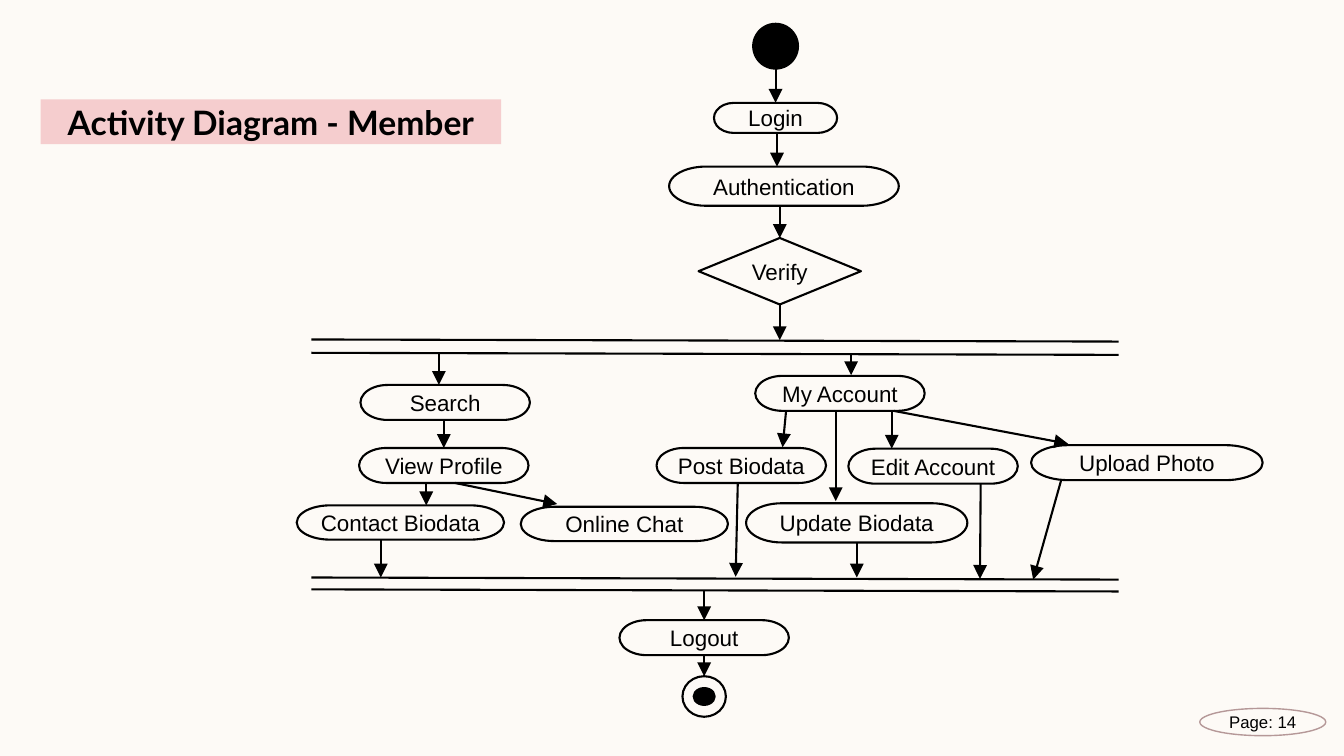
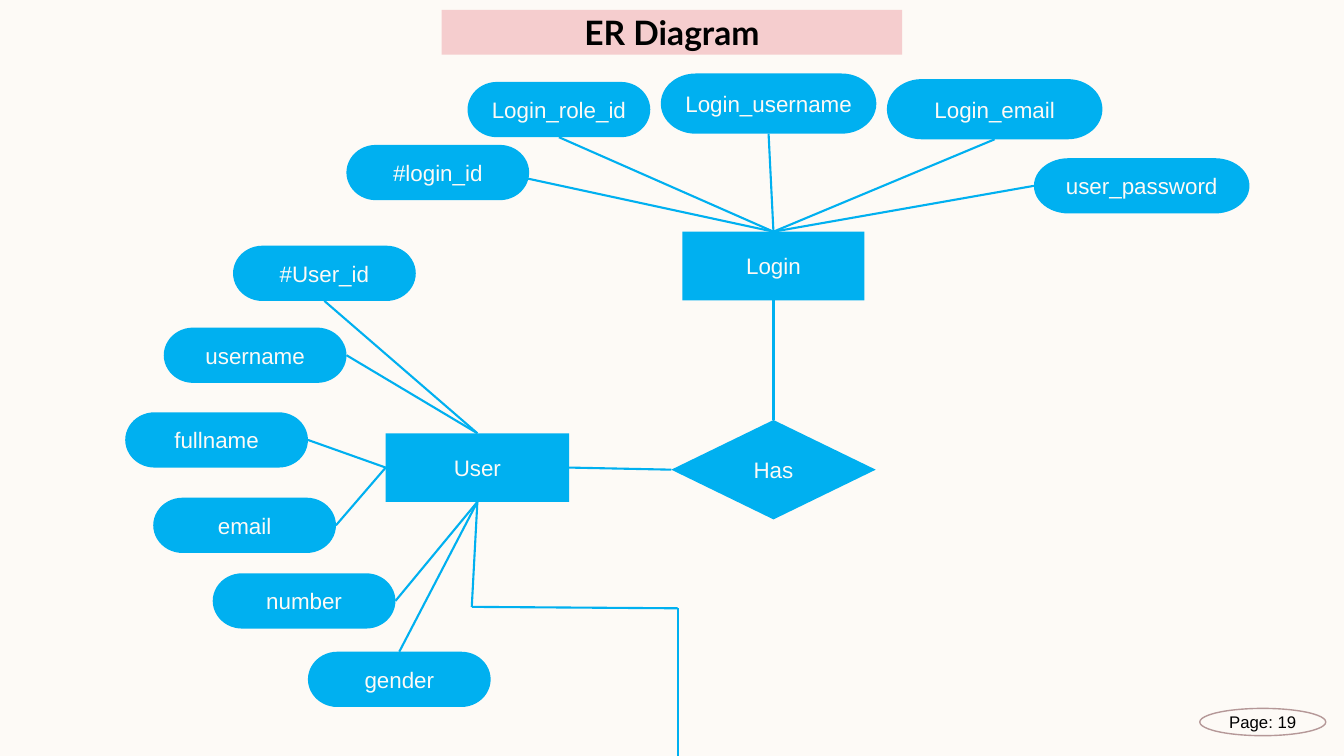
"""Build a member activity diagram slide and an ER diagram slide."""
from lxml import etree
from pptx import Presentation
from pptx.dml.color import RGBColor
from pptx.enum.shapes import MSO_CONNECTOR, MSO_SHAPE
from pptx.enum.text import MSO_ANCHOR, PP_ALIGN
from pptx.oxml.ns import qn
from pptx.util import Pt

CREAM = RGBColor(0xFD, 0xFA, 0xF6)
BLACK = RGBColor(0, 0, 0)
PINK = RGBColor(0xF5, 0xCD, 0xCE)
MAUVE = RGBColor(0xB5, 0x98, 0x98)
BLUE = RGBColor(0, 0xB0, 0xF0)

PILL = MSO_SHAPE.FLOWCHART_TERMINATOR
DIAMOND = MSO_SHAPE.FLOWCHART_DECISION
BOX = MSO_SHAPE.RECTANGLE
OVAL = MSO_SHAPE.OVAL
TOP, LEFT, BOTTOM, RIGHT = range(4)


def add_node(slide, kind, frame, label="", fill=None, line=None, ink=BLACK,
             size=16, font="Arial", bold=False, weight=1.5):
    """Add a labelled shape; frame is left, top, width, height in points."""
    node = slide.shapes.add_shape(kind, *[Pt(v) for v in frame])
    node.shadow.inherit = False
    if fill is None:
        node.fill.background()
    else:
        node.fill.solid()
        node.fill.fore_color.rgb = fill
    if line is None:
        node.line.fill.background()
    else:
        node.line.color.rgb = line
        node.line.width = Pt(weight)
    if label:
        frame_text = node.text_frame
        frame_text.text = label
        frame_text.word_wrap = False
        frame_text.vertical_anchor = MSO_ANCHOR.MIDDLE
        frame_text.margin_top = frame_text.margin_bottom = 0
        paragraph = frame_text.paragraphs[0]
        paragraph.alignment = PP_ALIGN.CENTER
        style = paragraph.runs[0].font
        style.name, style.size, style.bold = font, Pt(size), bold
        style.color.rgb = ink
    return node


def add_link(slide, start, end, colour, arrow=False):
    """Add a line; each end is an (x, y) point or a (node, side) pair."""
    link = slide.shapes.add_connector(MSO_CONNECTOR.STRAIGHT, 0, 0, 0, 0)
    if isinstance(start[0], (int, float)):
        link.begin_x, link.begin_y = Pt(start[0]), Pt(start[1])
    else:
        link.begin_connect(*start)
    if isinstance(end[0], (int, float)):
        link.end_x, link.end_y = Pt(end[0]), Pt(end[1])
    else:
        link.end_connect(*end)
    link.line.color.rgb = colour
    link.line.width = Pt(1.5)
    if arrow:
        etree.SubElement(link.line._get_or_add_ln(), qn("a:tailEnd"),
                         type="triangle", w="lg", len="lg")
    etree.SubElement(link._element.spPr, qn("a:effectLst"))


prs = Presentation()
prs.slide_width, prs.slide_height = Pt(960), Pt(540)

slides = []
for title, left, top, page in [
    ("Activity Diagram - Member", 29, 71, 14),
    ("ER Diagram", 315.5, 7, 19),
]:
    slide = prs.slides.add_slide(prs.slide_layouts[6])
    slide.background.fill.solid()
    slide.background.fill.fore_color.rgb = CREAM
    add_node(slide, BOX, (left, top, 329, 32), title, fill=PINK,
             size=24, font="Lato", bold=True)
    add_node(slide, OVAL, (857, 506, 90, 19.5), f"Page: {page}",
             line=MAUVE, size=12, weight=1)
    slides.append(slide)
activity, er = slides

for y in (242.5, 252, 412.5, 421):
    add_link(activity, (222.5, y), (799, y + 1.5), BLACK)

add_node(activity, OVAL, (538, 17, 32, 32), fill=BLACK, line=BLACK)
finish = add_node(activity, OVAL, (487.5, 483, 31, 29), line=BLACK)
add_node(activity, OVAL, (495.5, 491.5, 15, 12), fill=BLACK, line=BLACK)

steps = {}
for label, kind, *frame in [
    ("Login", PILL, 510, 73.5, 88, 21.5),
    ("Authentication", PILL, 478, 119, 164, 28),
    ("Verify", DIAMOND, 499, 170, 116, 47.5),
    ("Search", PILL, 257.5, 275, 121, 25),
    ("View Profile", PILL, 256.5, 320, 121, 25),
    ("Contact Biodata", PILL, 212, 361, 148, 24.5),
    ("Online Chat", PILL, 372, 362, 148, 24.5),
    ("My Account", PILL, 539.5, 268.5, 121, 25),
    ("Post Biodata", PILL, 469, 320, 121, 25),
    ("Update Biodata", PILL, 533, 359.5, 158, 28),
    ("Edit Account", PILL, 606, 320.5, 121, 25),
    ("Upload Photo", PILL, 736.5, 318, 165.5, 25),
    ("Logout", PILL, 442.5, 443, 121, 25),
]:
    steps[label] = add_node(activity, kind, frame, label, line=BLACK)

for start, end in [
    ((554, 49), (steps["Login"], TOP)),
    ((555, 95), (555, 119)),
    ((557, 147), (steps["Verify"], TOP)),
    ((steps["Verify"], BOTTOM), (557, 243)),
    ((313.5, 252), (313.5, 275)),
    ((317, 300), (steps["View Profile"], TOP)),
    ((304.5, 345), (304.5, 361)),
    ((325, 345), (398, 360)),
    ((272, 385.5), (272, 412.5)),
    ((608, 253), (608, 268)),
    ((561.5, 293.5), (559, 319.5)),
    ((597, 293.5), (597, 358)),
    ((637, 293.5), (637, 320.5)),
    ((638.5, 293.5), (763, 317)),
    ((527, 345), (525.5, 412)),
    ((steps["Update Biodata"], BOTTOM), (612, 412.5)),
    ((700.5, 345.5), (700, 413.5)),
    ((758, 343), (738, 414)),
    ((503, 421.5), (steps["Logout"], TOP)),
    ((steps["Logout"], BOTTOM), (finish, TOP)),
]:
    add_link(activity, start, end, BLACK, arrow=True)

blue_style = dict(fill=BLUE, ink=CREAM)
login = add_node(er, BOX, (487.5, 165.5, 130, 49), "Login", **blue_style)
user = add_node(er, BOX, (275.5, 309.5, 131, 49), "User", **blue_style)
has = add_node(er, DIAMOND, (479.5, 300, 146, 71), "Has", **blue_style)

for label, left, top, width, height, side, entity, entity_side in [
    ("Login_role_id", 334, 58.5, 130.5, 39.5, BOTTOM, login, TOP),
    ("#login_id", 247.5, 103.5, 130.5, 39.5, None, login, TOP),
    ("Login_username", 472, 52.5, 154, 43, BOTTOM, login, TOP),
    ("Login_email", 633.5, 56.5, 154, 43, BOTTOM, login, TOP),
    ("user_password", 738.5, 113, 154, 39.5, LEFT, login, TOP),
    ("#User_id", 166.5, 175.5, 130.5, 39.5, BOTTOM, user, TOP),
    ("username", 117, 234, 130.5, 39.5, RIGHT, user, TOP),
    ("fullname", 89.5, 294.5, 130.5, 39.5, RIGHT, user, LEFT),
    ("email", 109.5, 355.5, 130.5, 39.5, RIGHT, user, LEFT),
    ("number", 152, 409.5, 130.5, 39.5, RIGHT, user, BOTTOM),
    ("gender", 220, 465.5, 130.5, 39.5, TOP, user, BOTTOM),
]:
    attribute = add_node(er, PILL, (left, top, width, height), label, **blue_style)
    start = (365, 125) if side is None else (attribute, side)
    add_link(er, start, (entity, entity_side), BLUE)

for start, end in [
    ((login, BOTTOM), (has, TOP)),
    ((user, RIGHT), (has, LEFT)),
    ((user, BOTTOM), (337, 433.5)),
    ((337, 433.5), (484, 434.5)),
    ((484, 434.5), (484, 540)),
]:
    add_link(er, start, end, BLUE)

prs.save("out.pptx")
